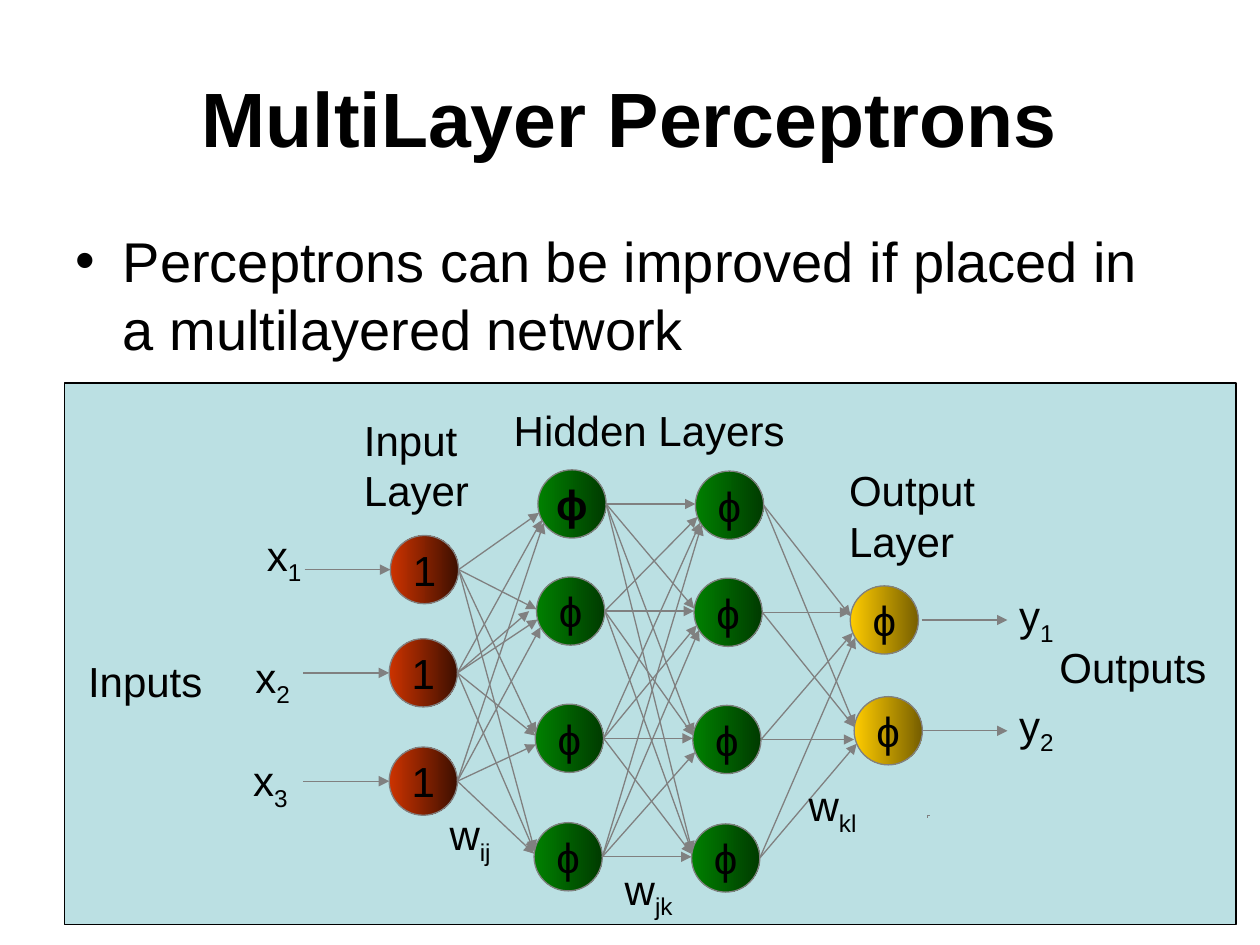
from dataclasses import dataclass
from itertools import product
from math import atan2, cos, sin

from lxml.etree import SubElement
from pptx import Presentation
from pptx.dml.color import RGBColor as RGB
from pptx.enum.shapes import MSO_CONNECTOR as CONN, MSO_SHAPE as SHAPE
from pptx.enum.text import MSO_ANCHOR as ANCHOR, PP_ALIGN as ALIGN
from pptx.oxml.ns import qn
from pptx.util import Pt


@dataclass(frozen=True)
class Theme:
    font: str = "Arial"
    ink: str = "000000"
    panel: str = "BBE0E3"
    wire: str = "808080"
    red: tuple = ("CC3300", "3D0F00")
    green: tuple = ("008000", "003B00")
    gold: tuple = ("FFCC00", "765E00")
    title_size: float = 44
    body_size: float = 32
    label_size: float = 24
    line_width: float = 0.75
    hairline: float = 0.25


T = Theme()
NODE = 39
ARROW = 49
LEVEL = 6
HIDDEN = [(290.2, 69.1), (289.4, 130.3), (288.7, 203), (288, 270.7)]
LAYERS = [
    ("1", T.red, [(205.9, 106.6), (205.2, 165.6), (205.2, 227.5)]),
    ("ϕ", T.green, HIDDEN),
    ("ϕ", T.green, [(x + 90, y + 0.7) for x, y in HIDDEN]),
    ("ϕ", T.gold, [(468.7, 135.4), (470.9, 198.7)]),
]
LABELS = [
    ("Input\nLayer", "", 164.2, 14.4, 84, 65),
    ("Hidden Layers", "", 249.8, 8.6, 180, 36),
    ("Output\nLayer", "", 441.4, 43.2, 98, 65),
    ("Inputs", "", 6.5, 151.9, 90, 36),
    ("Outputs", "", 561.6, 144, 108, 36),
    ("x", "1", 108.7, 79.9, 40, 40),
    ("x", "2", 102.2, 149.8, 40, 40),
    ("x", "3", 100.8, 208.8, 40, 40),
    ("y", "1", 538.6, 114.5, 40, 40),
    ("y", "2", 538.6, 177.1, 40, 40),
    ("w", "ij", 213.1, 239.8, 60, 40),
    ("w", "jk", 313.2, 270.7, 60, 40),
    ("w", "kl", 418.3, 223.2, 60, 40),
]


def set_all(obj, **values):
    for name, value in values.items():
        setattr(obj, name, value)


def style_font(font, size, bold=False):
    set_all(font, name=T.font, size=Pt(size), bold=bold)
    font.color.rgb = RGB.from_string(T.ink)


def style_line(line, color, width):
    line.color.rgb = RGB.from_string(color)
    line.width = Pt(width)


def add_placeholder(sp, box, text, size, bold=False):
    set_all(sp, **dict(zip(("left", "top", "width", "height"), map(Pt, box))))
    sp.text_frame.text = text
    p = sp.text_frame.paragraphs[0]
    style_font(p.runs[0].font, size, bold)
    return p


def add_node(shapes, x, y, text, colors, bold):
    sp = shapes.add_shape(SHAPE.OVAL, Pt(x - NODE / 2), Pt(y - NODE / 2), Pt(NODE), Pt(NODE))
    sp.shadow.inherit = False
    sp.fill.gradient()
    sp.fill.gradient_angle = 0
    for stop, color in zip(sp.fill.gradient_stops, colors):
        stop.color.rgb = RGB.from_string(color)
    style_line(sp.line, T.wire, T.line_width)
    tf = sp.text_frame
    set_all(tf, text=text, word_wrap=False, vertical_anchor=ANCHOR.MIDDLE)
    p = tf.paragraphs[0]
    p.alignment = ALIGN.CENTER
    style_font(p.runs[0].font, T.label_size, bold)


def add_wire(shapes, x1, y1, x2, y2, width=T.line_width, head=True):
    c = shapes.add_connector(CONN.STRAIGHT, Pt(x1), Pt(y1), Pt(x2), Pt(y2))
    style_line(c.line, T.wire, width)
    if head:
        SubElement(c.line._get_or_add_ln(), qn("a:tailEnd"), type="triangle")
    SubElement(c._element.spPr, qn("a:effectLst"))


def add_link(shapes, source, target):
    r = NODE / 2
    x, y = source[0] + r, source[1]
    dx, dy = target[0] - x, target[1] - y
    if abs(dy) < LEVEL:
        add_wire(shapes, x, y, target[0] - r, y)
        return
    turn = atan2(-dy, dx) * (0.5 if dy < 0 else 0.15)
    add_wire(shapes, x, y, target[0] - r * cos(turn), target[1] + r * sin(turn))


def add_label(shapes, left, top, text, sub, width, height):
    tb = shapes.add_textbox(Pt(left), Pt(top), Pt(width), Pt(height))
    tf = tb.text_frame
    set_all(tf, text=text, word_wrap=True)
    if sub:
        r = tf.paragraphs[0].add_run()
        r.text = sub
        r.font._element.set("baseline", "-25000")
    for p in tf.paragraphs:
        for r in p.runs:
            style_font(r.font, T.label_size)


def add_network(s, left, top, width, height):
    shapes = s.shapes.add_group_shape().shapes
    panel = shapes.add_shape(SHAPE.RECTANGLE, Pt(left), Pt(top), Pt(width), Pt(height))
    panel.shadow.inherit = False
    panel.fill.solid()
    panel.fill.fore_color.rgb = RGB.from_string(T.panel)
    style_line(panel.line, T.ink, T.line_width)

    layers = [[(left + x, top + y) for x, y in centres] for _, _, centres in LAYERS]
    for (text, colors, _), centres in zip(LAYERS, layers):
        for x, y in centres:
            add_node(shapes, x, y, text, colors, bold=(x, y) == layers[1][0])
    for sources, targets in zip(layers, layers[1:]):
        for source, target in product(sources, targets):
            add_link(shapes, source, target)
    for x, y in layers[0]:
        add_wire(shapes, x - NODE / 2 - ARROW, y, x - NODE / 2, y)
    for _, y in layers[-1]:
        add_wire(shapes, left + 490, y, left + 490 + ARROW, y)
    x, y = layers[0][1]
    add_wire(shapes, x + NODE / 2, y, left + 265.7, top + 130.3)
    for dx, dy in ((0, 1.4), (1.4, 0)):
        x, y = left + 493.2, top + 247
        add_wire(shapes, x, y, x + dx, y + dy, T.hairline, head=False)
    for text, sub, x, y, w, h in LABELS:
        add_label(shapes, left + x, top + y, text, sub, w, h)


def add_perceptron_slide(prs):
    s = prs.slides.add_slide(prs.slide_layouts[1])
    p = add_placeholder(s.shapes.title, (36, 21.6, 648, 90),
                        "MultiLayer Perceptrons", T.title_size, bold=True)
    p.alignment = ALIGN.CENTER
    p = add_placeholder(s.placeholders[1], (36, 126, 648, 118.8),
                        "Perceptrons can be improved if placed in a multilayered network",
                        T.body_size)
    p.space_before = Pt(8)
    pPr = p._p.get_or_add_pPr()
    pPr.set("marL", str(Pt(27)))
    pPr.set("indent", str(Pt(-27)))
    add_network(s, 36.7, 218.9, 669.6, 309.6)


def main():
    prs = Presentation()
    set_all(prs, slide_width=Pt(720), slide_height=Pt(540))
    add_perceptron_slide(prs)
    prs.save("out.pptx")


if __name__ == "__main__":
    main()
